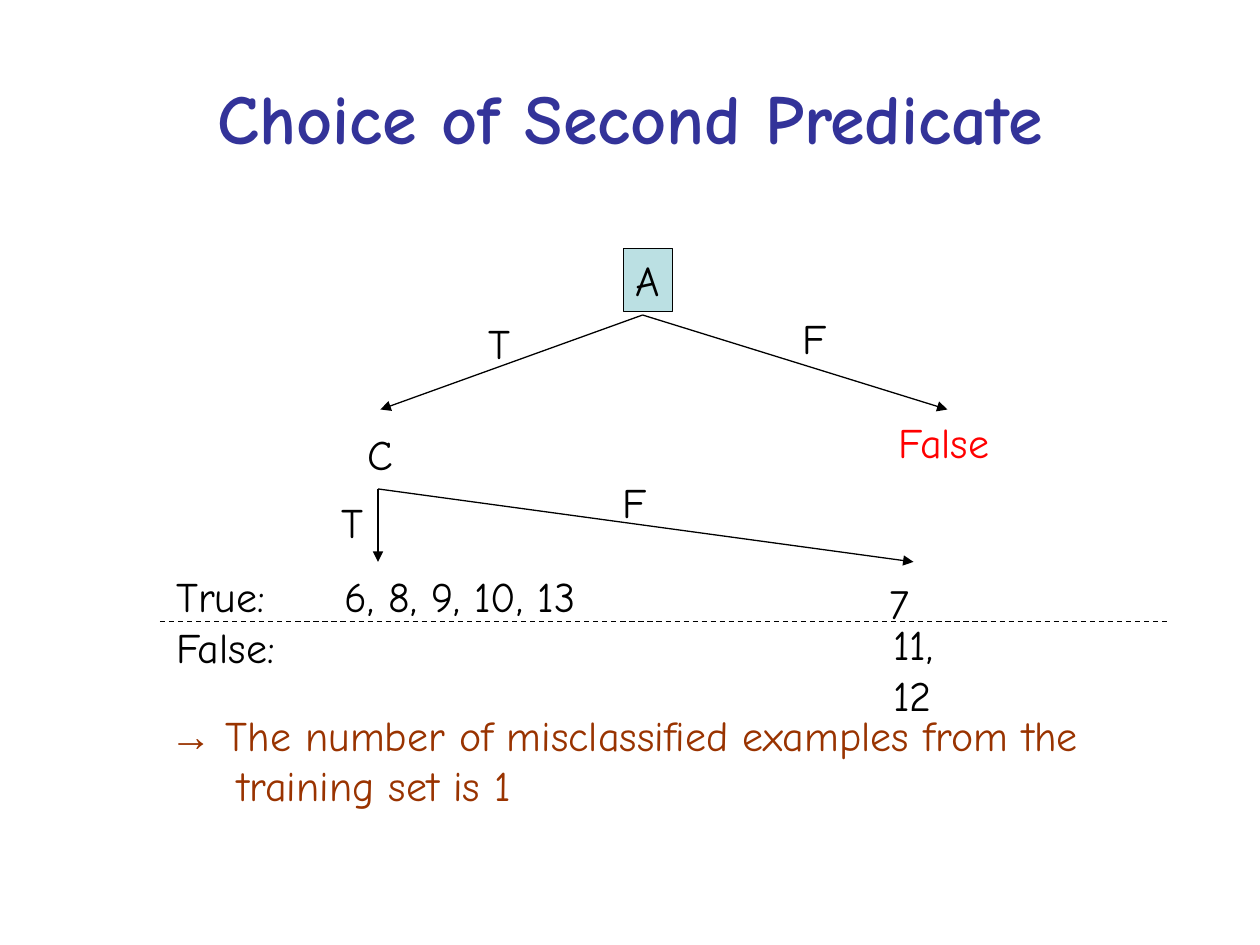
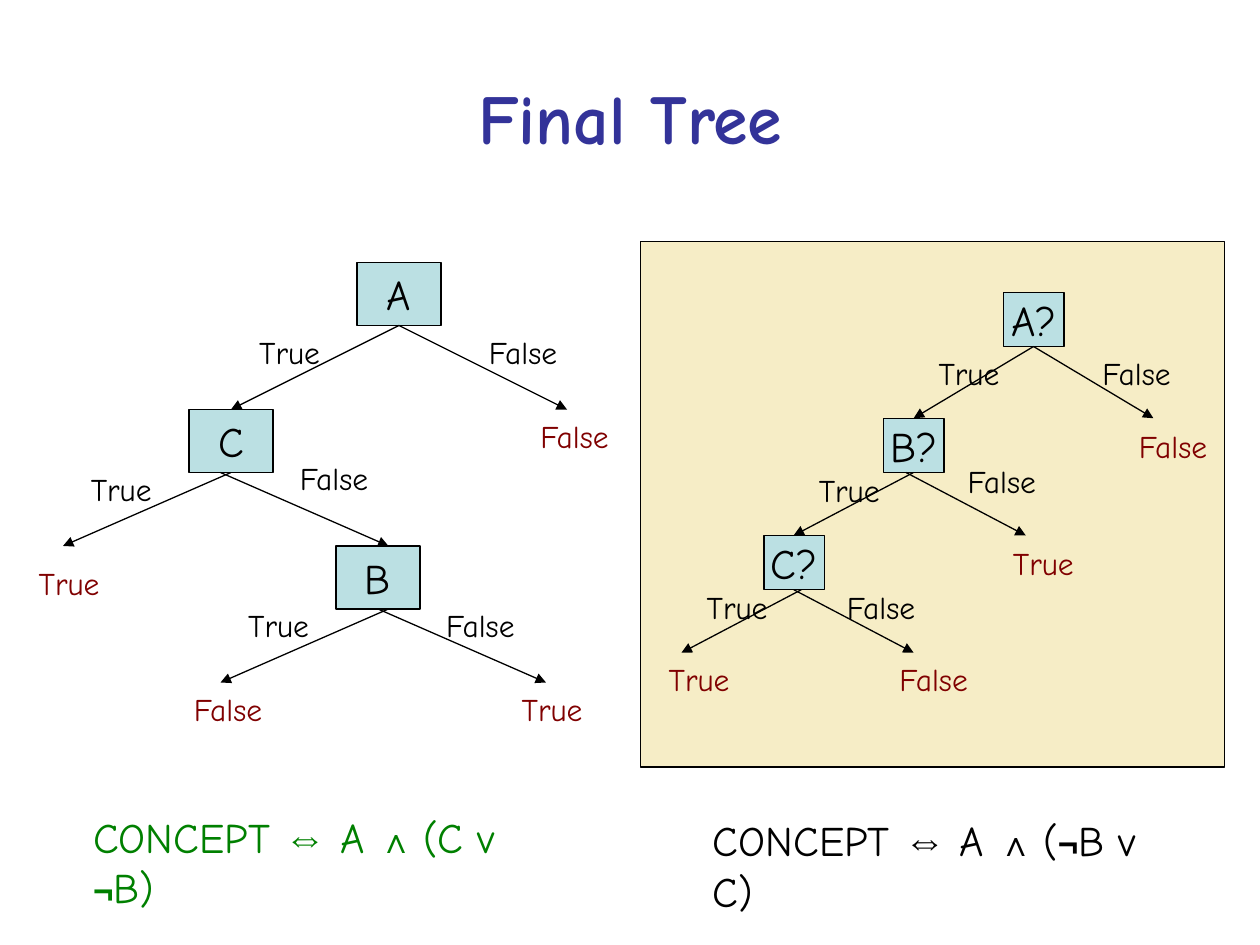
from lxml import etree
from pptx import Presentation
from pptx.dml.color import RGBColor
from pptx.enum.dml import MSO_LINE
from pptx.enum.shapes import MSO_CONNECTOR, MSO_SHAPE
from pptx.enum.text import MSO_ANCHOR, PP_ALIGN
from pptx.oxml.ns import qn
from pptx.util import Pt

RECT = MSO_SHAPE.RECTANGLE
STRAIGHT = MSO_CONNECTOR.STRAIGHT
DASH = MSO_LINE.DASH
MIDDLE, TOP = MSO_ANCHOR.MIDDLE, MSO_ANCHOR.TOP
CENTER, LEFT = PP_ALIGN.CENTER, PP_ALIGN.LEFT

FONT, SYMBOL_FONT = "Comic Neue", "Arial"
BLACK, NAVY, RED, MAROON = "000000", "333399", "FF0000", "800000"
BROWN, GREEN = "993300", "008000"
NODE_FILL, PANEL_FILL = "BBE0E3", "F6EDC6"
LABEL_WIDTHS = {"True": 49, "False": 54}
rgb = RGBColor.from_string


def add_box(shapes, x, y, w, h, text="", size=24, color=BLACK, fill=None):
    """Add a text box, or a centred outlined rectangle when a fill is given."""
    if fill:
        sp = shapes.add_shape(RECT, Pt(x), Pt(y), Pt(w), Pt(h))
        sp.shadow.inherit = False
        sp.fill.solid()
        sp.fill.fore_color.rgb = rgb(fill)
        sp.line.color.rgb = rgb(BLACK)
        sp.line.width = Pt(0.75)
    else:
        sp = shapes.add_textbox(Pt(x), Pt(y), Pt(w), Pt(h))
    tf = sp.text_frame
    tf.word_wrap = False
    tf.vertical_anchor = MIDDLE if fill else TOP
    tf.text = text
    for p in tf.paragraphs:
        p.alignment = CENTER if fill else LEFT
        p.font.name = FONT
        p.font.size = Pt(size)
        p.font.color.rgb = rgb(color)
    return tf


def add_line(shapes, x1, y1, x2, y2, arrow=True):
    """Add a thin black arrow, or a dashed line without a head."""
    line = shapes.add_connector(STRAIGHT, Pt(x1), Pt(y1), Pt(x2), Pt(y2))
    line.line.color.rgb = rgb(BLACK)
    line.line.width = Pt(0.75)
    if arrow:
        etree.SubElement(line.line._get_or_add_ln(), qn("a:tailEnd"), type="triangle")
    else:
        line.line.dash_style = DASH
    etree.SubElement(line._element.spPr, qn("a:effectLst"))


prs = Presentation()
prs.slide_width, prs.slide_height = Pt(720), Pt(540)

slides = []
for title in ("Choice of Second Predicate", "Final Tree"):
    slide = prs.slides.add_slide(prs.slide_layouts[5])
    sp = slide.shapes.title
    sp.left, sp.top, sp.width, sp.height = Pt(36), Pt(21.6), Pt(648), Pt(90)
    tf = sp.text_frame
    tf.text = title
    tf.vertical_anchor = MIDDLE
    p = tf.paragraphs[0]
    p.alignment = CENTER
    p.font.name = FONT
    p.font.size = Pt(40)
    p.font.bold = True
    p.font.color.rgb = rgb(NAVY)
    slides.append(slide)

# Slide 1: splitting on A, then on C
shapes = slides[0].shapes
add_box(shapes, 356.2, 142, 28.3, 36, "A", fill=NODE_FILL)
for x1, y1, x2, y2 in (
    (367.2, 180, 217.4, 234),
    (367.2, 180, 541.4, 234),
    (216, 279.4, 522, 321.1),
    (216, 279.4, 216, 321.1),
):
    add_line(shapes, x1, y1, x2, y2)

for text, x, y, w, color in (
    ("T", 272.2, 178, 26.6, BLACK),
    ("F", 451.4, 175, 28, BLACK),
    ("C", 203, 241.2, 28.8, BLACK),
    ("T", 188, 280, 26.6, BLACK),
    ("F", 348.5, 268.6, 28, BLACK),
    ("False", 506.2, 234.7, 67.7, RED),
):
    add_box(shapes, x, y, w, 36, text, color=color)

counts = shapes.add_group_shape().shapes
for text, x, y, w, h in (
    ("True:\nFalse:", 93.6, 322.6, 72, 64.8),
    ("6, 8, 9, 10, 13", 190, 322.6, 146.2, 64.8),
    ("11, 12", 503.3, 350, 67, 36),
    ("7", 501.1, 326.2, 26, 36),
):
    add_box(counts, x, y, w, h, text)
add_line(counts, 91.4, 355, 667.4, 355, arrow=False)

tf = add_box(shapes, 90, 401.8, 581.8, 64.8, color=BROWN)
tf.word_wrap = True
p = tf.paragraphs[0]
pPr = p._p.get_or_add_pPr()
pPr.set("marL", str(Pt(38.5)))
pPr.set("indent", str(-Pt(38.5)))
for text, font in (
    ("→", SYMBOL_FONT),
    (" The number of misclassified examples from the training set is 1", FONT),
):
    r = p.add_run()
    r.text = text
    r.font.name = font

# Slide 2: two equivalent trees
shapes = slides[1].shapes
final_tree = shapes.add_group_shape().shapes
other_tree = shapes.add_group_shape().shapes
add_box(other_tree, 365.8, 138.2, 334, 300.2, fill=PANEL_FILL)

# Node: name, left, top, start of True and False arrows, drop, True and False labels
trees = (
    (final_tree, 48, 36, 96, (
        ("A", 204, 150, 228, 228, 48, (141, 186.5), (272.2, 186.5)),
        ("C", 108, 234, 132, 126, 42, (44.8, 265), (164.2, 258.5)),
        ("B", 192, 312, 222, 216, 42, (134.7, 342.7), (247.9, 342.7)),
    ), (
        ("False", 301.7, 234.7),
        ("True", 15, 319),
        ("False", 103.7, 391),
        ("True", 291, 391),
    )),
    (other_tree, 34.5, 31, 68.5, (
        ("A?", 573.6, 167, 590.6, 590.6, 41, (529.2, 198.7), (622.8, 198.7)),
        ("B?", 504.9, 239, 522, 517.7, 36, (460.8, 265.7), (545.8, 260.6)),
        ("C?", 436.5, 306, 457.9, 453.6, 36, (396.7, 332.6), (476.8, 332.6)),
    ), (
        ("False", 643.7, 240.5),
        ("True", 571.7, 307.4),
        ("True", 375, 373.7),
        ("False", 506.9, 373.7),
    )),
)
for tree, w, h, reach, nodes, leaves in trees:
    for name, x, y, true_x, false_x, drop, true_at, false_at in nodes:
        add_box(tree, x, y, w, h, name, fill=NODE_FILL)
        bottom = y + h
        add_line(tree, true_x, bottom, true_x - reach, bottom + drop)
        add_line(tree, false_x, bottom, false_x + reach, bottom + drop)
        for text, (label_x, label_y) in (("True", true_at), ("False", false_at)):
            add_box(tree, label_x, label_y, LABEL_WIDTHS[text], 29, text, 18)
    for text, x, y in leaves:
        add_box(tree, x, y, LABEL_WIDTHS[text], 29, text, 18, MAROON)

SYMBOL_SIZES = {"⇔": 24, "∧ ": 20, "¬": 20}
for x, y, color, formula in (
    (46.1, 460, GREEN, ("(C v ", "¬", "B)")),
    (400.3, 462.2, BLACK, ("(", "¬", "B v C)")),
):
    tf = add_box(shapes, x, y, 274.3, 36, color=color)
    tf.word_wrap = True
    for text in ("CONCEPT ", "⇔", " A ", "∧ ") + formula:
        r = tf.paragraphs[0].add_run()
        r.text = text
        r.font.name = FONT
        if text in SYMBOL_SIZES:
            r.font.name = SYMBOL_FONT
            r.font.size = Pt(SYMBOL_SIZES[text])
            r.font.bold = True

prs.save("out.pptx")
